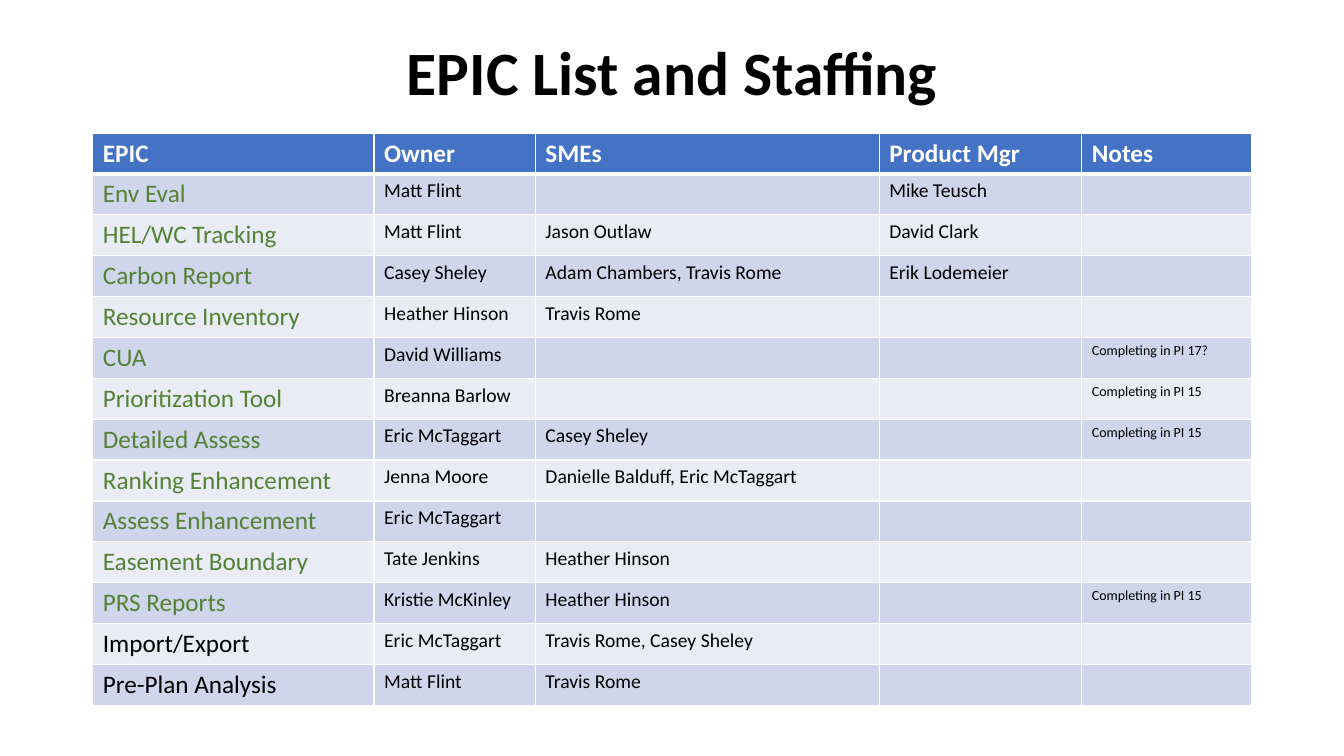
from lxml.etree import SubElement
from pptx import Presentation
from pptx.dml.color import RGBColor
from pptx.enum.text import MSO_ANCHOR, MSO_AUTO_SIZE, PP_ALIGN
from pptx.oxml.ns import qn
from pptx.util import Inches, Pt

COLORS = {"header": "4472C4", "odd": "CFD5EA", "even": "E9EBF5",
          "green": "548235", "black": "000000", "white": "FFFFFF"}

HEADERS = ["EPIC", "Owner", "SMEs", "Product Mgr", "Notes"]
COL_WIDTHS = [2.79, 1.6, 3.41, 2.01, 1.68]
COL_SIZES = [18, 14, 14, 14, 10]
EPICS = [
    ["Env Eval", "Matt Flint", "", "Mike Teusch", ""],
    ["HEL/WC Tracking", "Matt Flint", "Jason Outlaw", "David Clark", ""],
    ["Carbon Report", "Casey Sheley", "Adam Chambers, Travis Rome", "Erik Lodemeier", ""],
    ["Resource Inventory", "Heather Hinson", "Travis Rome", "", ""],
    ["CUA", "David Williams", "", "", "Completing in PI 17?"],
    ["Prioritization Tool", "Breanna Barlow", "", "", "Completing in PI 15"],
    ["Detailed Assess", "Eric McTaggart", "Casey Sheley", "", "Completing in PI 15"],
    ["Ranking Enhancement", "Jenna Moore", "Danielle Balduff, Eric McTaggart", "", ""],
    ["Assess Enhancement", "Eric McTaggart", "", "", ""],
    ["Easement Boundary", "Tate Jenkins", "Heather Hinson", "", ""],
    ["PRS Reports", "Kristie McKinley", "Heather Hinson", "", "Completing in PI 15"],
    ["Import/Export", "Eric McTaggart", "Travis Rome, Casey Sheley", "", ""],
    ["Pre-Plan Analysis", "Matt Flint", "Travis Rome", "", ""],
]
GREEN_ROWS = 11  # the epics after these are black


def add_text(p, text, size, color, bold=False):
    r = p.add_run()
    r.text = text
    for name, value in {"name": "Calibri", "size": Pt(size), "bold": bold}.items():
        setattr(r.font, name, value)
    r.font.color.rgb = RGBColor.from_string(COLORS[color])


def add_border(cell, side, width):
    ln = SubElement(cell._tc.get_or_add_tcPr(), qn(f"a:ln{side}"), w=str(Pt(width)))
    fill = SubElement(ln, qn("a:solidFill"))
    SubElement(fill, qn("a:srgbClr"), val=COLORS["white"])


prs = Presentation()
prs.slide_width, prs.slide_height = Inches(13.33), Inches(7.5)
s = prs.slides.add_slide(prs.slide_layouts[5])

# Title
title = s.shapes.title
box = {"left": 0.92, "top": 0.02, "width": 11.5, "height": 1.45}
for name, value in box.items():
    setattr(title, name, Inches(value))
tf = title.text_frame
for name, value in {"word_wrap": True, "auto_size": MSO_AUTO_SIZE.NONE,
                    "vertical_anchor": MSO_ANCHOR.MIDDLE}.items():
    setattr(tf, name, value)
p = tf.paragraphs[0]
p.alignment, p.line_spacing = PP_ALIGN.CENTER, 0.9
add_text(p, "EPIC List and Staffing", 44, "black", True)

# Table with equal row heights
rows = [HEADERS] + EPICS
table = s.shapes.add_table(len(rows), len(HEADERS), Inches(0.92), Inches(1.32),
                           Inches(sum(COL_WIDTHS)), Inches(5.67)).table
for column, width in zip(table.columns, COL_WIDTHS):
    column.width = Inches(width)

# Cells: white borders, heavier under the header, and banded fills
for i, row in enumerate(rows):
    band = "header" if i == 0 else "odd" if i % 2 else "even"
    for j, text in enumerate(row):
        cell = table.cell(i, j)
        for side in "LRTB":
            under_header = (i, side) in [(0, "B"), (1, "T")]
            add_border(cell, side, 3 if under_header else 1)
        cell.fill.solid()
        cell.fill.fore_color.rgb = RGBColor.from_string(COLORS[band])
        if not text:
            continue
        p = cell.text_frame.paragraphs[0]
        if i == 0:
            add_text(p, text, 18, "white", True)
        else:
            color = "green" if j == 0 and i <= GREEN_ROWS else "black"
            add_text(p, text, COL_SIZES[j], color)

prs.save("out.pptx")
